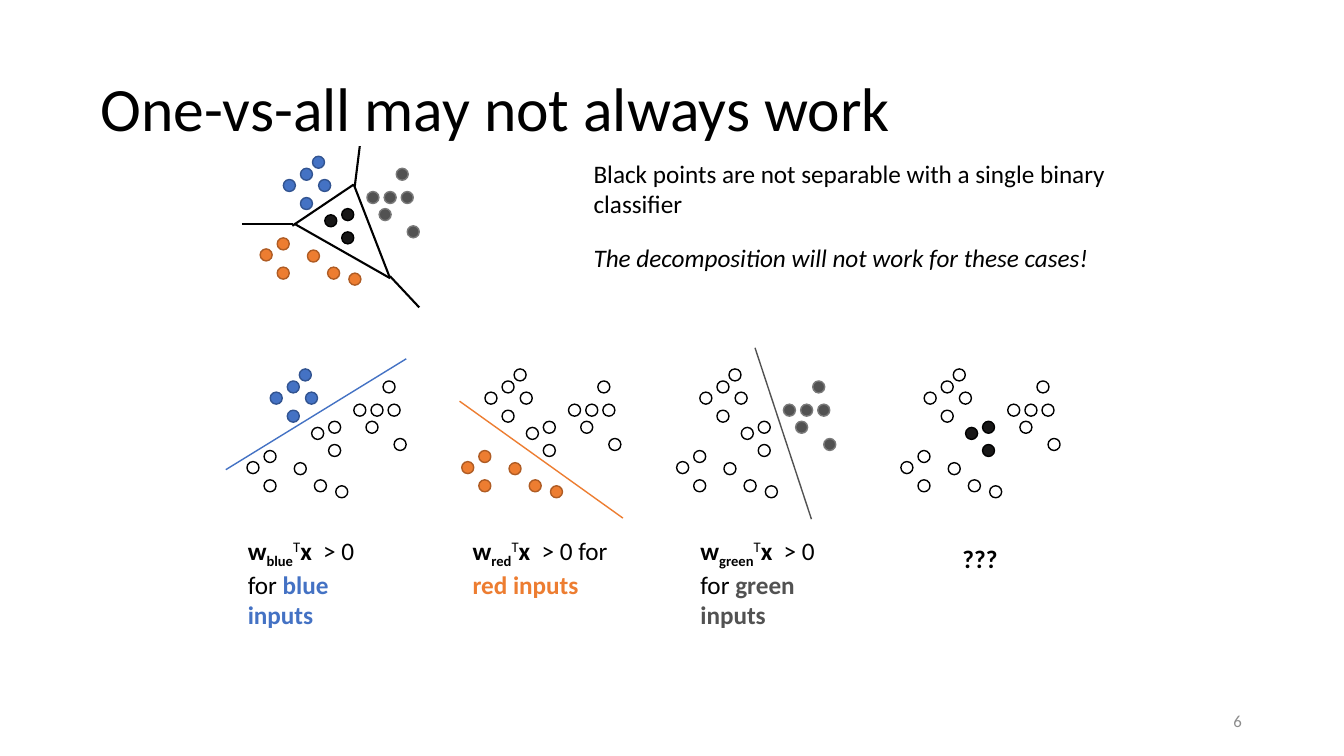
import dataclasses

import lxml.etree
import pptx
import pptx.dml.color
import pptx.enum.shapes
import pptx.enum.text
import pptx.oxml.ns
import pptx.util

Pt = pptx.util.Pt
Align = pptx.enum.text.PP_ALIGN
Anchor = pptx.enum.text.MSO_ANCHOR


@dataclasses.dataclass(frozen=True)
class Theme:
    font: str = "Calibri"
    title: int = 44
    body: int = 18
    small: int = 12
    dot: float = 8.6
    black: str = "000000"
    muted: str = "8C8C8C"
    blue: str = "4472C4"
    orange: str = "ED7D31"
    gray: str = "525252"
    # Dot fill and outline for each class
    dots: dict = dataclasses.field(default_factory=lambda: {
        "blue": ("4472C4", "325491"),
        "black": ("181717", "000000"),
        "red": ("ED7D31", "AF5C24"),
        "green": ("525252", "7A7A7A"),
        "other": ("FFFFFF", "000000"),
    })


# Dot offsets from the corner of a scatter, by class
POINTS = {
    "blue": [(28.8, 8.6), (37.4, 0), (16.6, 16.6), (41.8, 16.6), (28.8, 29.5)],
    "black": [(46.2, 41.8), (58.3, 37.4), (58.3, 54)],
    "red": [(63.4, 83.5), (12.2, 58.3), (33.8, 67), (0, 66.2),
            (48.2, 79.2), (12.2, 79.2)],
    "green": [(85, 37.4), (105.1, 49.7), (97.2, 8.6), (76.3, 25.2),
              (100.8, 25.2), (88.6, 25.2)],
}


def rgb(color):
    return pptx.dml.color.RGBColor.from_string(color)


class Builder:
    def __init__(self, slide, theme):
        self.shapes = slide.shapes
        self.theme = theme

    def text(self, box, runs, size, color, align=Align.LEFT, anchor=Anchor.TOP,
             wrap=True, bold=False, italic=False, spacing=1.0):
        """Runs are (text, own font settings) pairs."""
        tf = self.shapes.add_textbox(*map(Pt, box)).text_frame
        tf.word_wrap = wrap
        tf.vertical_anchor = anchor
        p = tf.paragraphs[0]
        p.alignment = align
        p.line_spacing = spacing
        p.font.name = self.theme.font
        p.font.size = Pt(size)
        p.font.color.rgb = rgb(color)
        p.font.bold = bold
        p.font.italic = italic
        for words, style in runs:
            r = p.add_run()
            r.text = words
            if "bold" in style:
                r.font.bold = style["bold"]
            if "color" in style:
                r.font.color.rgb = rgb(style["color"])
            if "baseline" in style:
                r._r.get_or_add_rPr().set("baseline", str(style["baseline"] * 1000))

    def line(self, x1, y1, x2, y2, color, width=1):
        cx = self.shapes.add_connector(
            pptx.enum.shapes.MSO_CONNECTOR.STRAIGHT, Pt(x1), Pt(y1), Pt(x2), Pt(y2))
        cx.line.color.rgb = rgb(color)
        cx.line.width = Pt(width)
        lxml.etree.SubElement(cx._element.spPr, pptx.oxml.ns.qn("a:effectLst"))

    def scatter(self, left, top, shown):
        """Draw every point; classes not in shown are hollow."""
        group = self.shapes.add_group_shape()
        d = Pt(self.theme.dot)
        for name, offsets in POINTS.items():
            fill, outline = self.theme.dots[name if name in shown else "other"]
            for dx, dy in offsets:
                sp = group.shapes.add_shape(pptx.enum.shapes.MSO_SHAPE.OVAL,
                                            Pt(left + dx), Pt(top + dy), d, d)
                sp.shadow.inherit = False
                sp.fill.solid()
                sp.fill.fore_color.rgb = rgb(fill)
                sp.line.color.rgb = rgb(outline)
                sp.line.width = Pt(1)

    def caption(self, left, name, color):
        strong = {"bold": True}
        runs = [("w", strong), (name, {"bold": True, "baseline": -25}),
                ("T", {"baseline": 30}), ("x ", strong), (" > 0 for ", {}),
                (f"{name} inputs", {"bold": True, "color": color})]
        self.text((left, 378.7, 112.3, 72.7), runs, self.theme.body, self.theme.black)


def main():
    prs = pptx.Presentation()
    prs.slide_width, prs.slide_height = Pt(960), Pt(540)
    t = Theme()
    s = Builder(prs.slides.add_slide(prs.slide_layouts[6]), t)

    # Title and remarks
    s.text((64.8, 27.4, 828, 104.4), [("One-vs-all may not always work", {})],
           t.title, t.black, anchor=Anchor.MIDDLE, spacing=0.9)
    s.text((416.9, 109.4, 397.4, 51.1),
           [("Black points are not separable with a single binary classifier", {})],
           t.body, t.black)
    s.text((416.9, 169.2, 376.6, 28.8),
           [("The decomposition will not work for these cases!", {})],
           t.body, t.black, wrap=False, italic=True)

    # All classes with their true boundaries
    for ends in [(208.8, 161.3, 252.7, 131.8), (210.2, 159.8, 278.6, 198.7),
                 (252.7, 131.8, 278.6, 198.7), (278.6, 197.3, 299.5, 219.6),
                 (253.4, 133.2, 257, 104.4), (172.8, 159.8, 209.5, 159.8)]:
        s.line(*ends, t.black, 1.5)
    s.scatter(185.8, 111.6, POINTS)

    # One class against the rest: scatter, separating line, caption
    for name, left, caption_left, color, ends in [
        ("blue", 176.4, 169.9, t.blue, (161.3, 335.5, 290.2, 256.3)),
        ("red", 329.8, 330.5, t.orange, (328.3, 286.6, 445, 370.1)),
        ("green", 483.3, 493.2, t.gray, (539.3, 248.4, 579.6, 370.8)),
    ]:
        s.line(*ends, color)
        s.scatter(left, 263.5, [name])
        s.caption(caption_left, name, color)

    # Black class, which no line separates
    s.scatter(643.5, 263.5, ["black"])
    s.text((680.4, 384.5, 39.6, 28.8), [("???", {})], t.body, t.black, bold=True)

    # Slide number
    s.text((678.2, 500.4, 216, 28.8), [("6", {})], t.small, t.muted,
           align=Align.RIGHT, anchor=Anchor.MIDDLE)

    prs.save("out.pptx")


if __name__ == "__main__":
    main()
